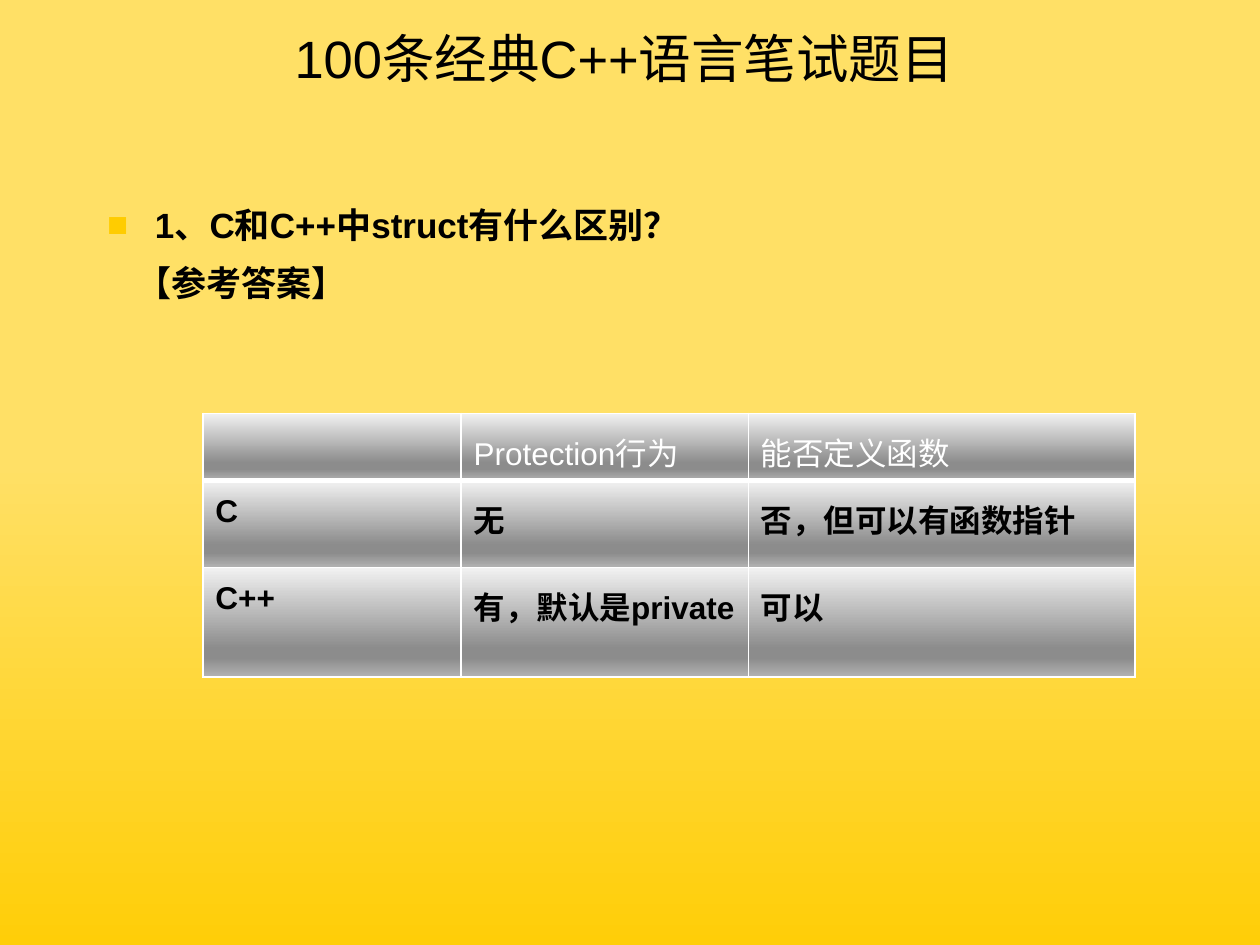
"""Build a quiz slide that compares struct in C and in C++."""
from dataclasses import dataclass

from lxml import etree
from pptx import Presentation
from pptx import util as u
from pptx.dml.color import RGBColor
from pptx.enum import text
from pptx.oxml.ns import qn

WIDE, HIGH = 10, 7.5
FONT = "Arial"
HUES = {"ink": "000000", "white": "FFFFFF", "mark": "FFCC00",
        "gold": "FFCE08", "cream": "FFE066",
        "pale": "F2F2F2", "gray": "8C8C8C", "mid": "B2B2B2"}
PAGE = ((0, "gold"), (51, "cream"), (100, "cream"))
METAL = ((0, "pale"), (74, "gray"), (83, "gray"), (100, "mid"))
ROWS = (("", "Protection行为", "能否定义函数"),
        ("C", "无", "否，但可以有函数指针"),
        ("C++", "有，默认是private", "可以"))
COLS = (2.05, 2.28, 3.07)
TALL = (0.4, 0.69, 0.4)


@dataclass
class Box:
    left: float
    top: float
    width: float
    height: float

    def spans(self) -> list:
        return [u.Inches(n) for n in (self.left, self.top, self.width, self.height)]


@dataclass
class Look:
    size: int
    hue: str = "ink"
    bold: bool = False


def add(node, tag: str, **traits):
    return etree.SubElement(node, qn(tag), **traits)


def tint(node, hue: str) -> None:
    add(node, "a:srgbClr", val=HUES[hue])


def blend(node, stops: tuple, angle: int) -> None:
    grad = add(node, "a:gradFill", rotWithShape="1")
    group = add(grad, "a:gsLst")
    for share, hue in stops:
        tint(add(group, "a:gs", pos=str(share * 1000)), hue)
    add(grad, "a:lin", ang=str(angle * 60000), scaled="0")


def paint(slide) -> None:
    slide.background.fill.solid()
    props = slide.background._cSld.find(qn("p:bg")).find(qn("p:bgPr"))
    props.remove(props.find(qn("a:solidFill")))
    blend(props, PAGE, 270)
    props.insert(0, props[-1])


def style(para, look: Look) -> None:
    font = para.font
    font.name, font.size, font.bold = FONT, u.Pt(look.size), look.bold
    font.color.rgb = RGBColor.from_string(HUES[look.hue])


def place(shape, box: Box) -> None:
    shape.left, shape.top, shape.width, shape.height = box.spans()
    shape.text_frame.auto_size = text.MSO_AUTO_SIZE.NONE


def indent(para, margin: float, first: float, mark: str = "") -> None:
    props = para._p.get_or_add_pPr()
    props.set("marL", str(u.Inches(margin)))
    props.set("indent", str(u.Inches(first)))
    if mark:
        tint(add(props, "a:buClr"), "mark")
        add(props, "a:buFont", typeface=FONT)
        add(props, "a:buChar", char=mark)
    else:
        add(props, "a:buNone")


def head(shape) -> None:
    place(shape, Box(0.17, 0, 7.5, 0.92))
    frame = shape.text_frame
    frame.text = "100条经典C++语言笔试题目"
    frame.vertical_anchor = text.MSO_ANCHOR.MIDDLE
    para = frame.paragraphs[0]
    para.alignment = text.PP_ALIGN.RIGHT
    style(para, Look(30))


def body(shape) -> None:
    place(shape, Box(0.75, 1.5, 8.5, 5.17))
    frame = shape.text_frame
    frame.text = "1、C和C++中struct有什么区别？\n【参考答案】"
    ask, answer = frame.paragraphs
    indent(ask, 0.38, -0.38, "■")
    indent(answer, 0.23, 0)
    for para in (ask, answer):
        para.line_spacing = 1.2
        style(para, Look(20, bold=True))


def edge(props, side: str, points: int) -> None:
    line = add(props, f"a:ln{side}", w=str(u.Pt(points)))
    tint(add(line, "a:solidFill"), "white")


def fill(cell, row: int, words: str) -> None:
    props = cell._tc.get_or_add_tcPr()
    for side, points in (("L", 1), ("R", 1), ("T", 3 if row == 1 else 1),
                         ("B", 3 if row == 0 else 1)):
        edge(props, side, points)
    blend(props, METAL, 90)
    cell.text = words
    para = cell.text_frame.paragraphs[0]
    para.line_spacing = 1.2
    style(para, Look(18, "ink", True) if row else Look(18, "white"))


def chart(slide) -> None:
    box = Box(1.61, 3.28, sum(COLS), sum(TALL))
    grid = slide.shapes.add_table(len(ROWS), len(COLS), *box.spans()).table
    grid.first_row = grid.horz_banding = False
    for col, width in zip(grid.columns, COLS):
        col.width = u.Inches(width)
    for row, height in zip(grid.rows, TALL):
        row.height = u.Inches(height)
    for r, line in enumerate(ROWS):
        for c, words in enumerate(line):
            fill(grid.cell(r, c), r, words)


def main() -> None:
    deck = Presentation()
    deck.slide_width, deck.slide_height = u.Inches(WIDE), u.Inches(HIGH)
    slide = deck.slides.add_slide(deck.slide_layouts[1])
    paint(slide)
    head(slide.shapes.title)
    body(slide.placeholders[1])
    chart(slide)
    deck.save("out.pptx")


if __name__ == "__main__":
    main()
